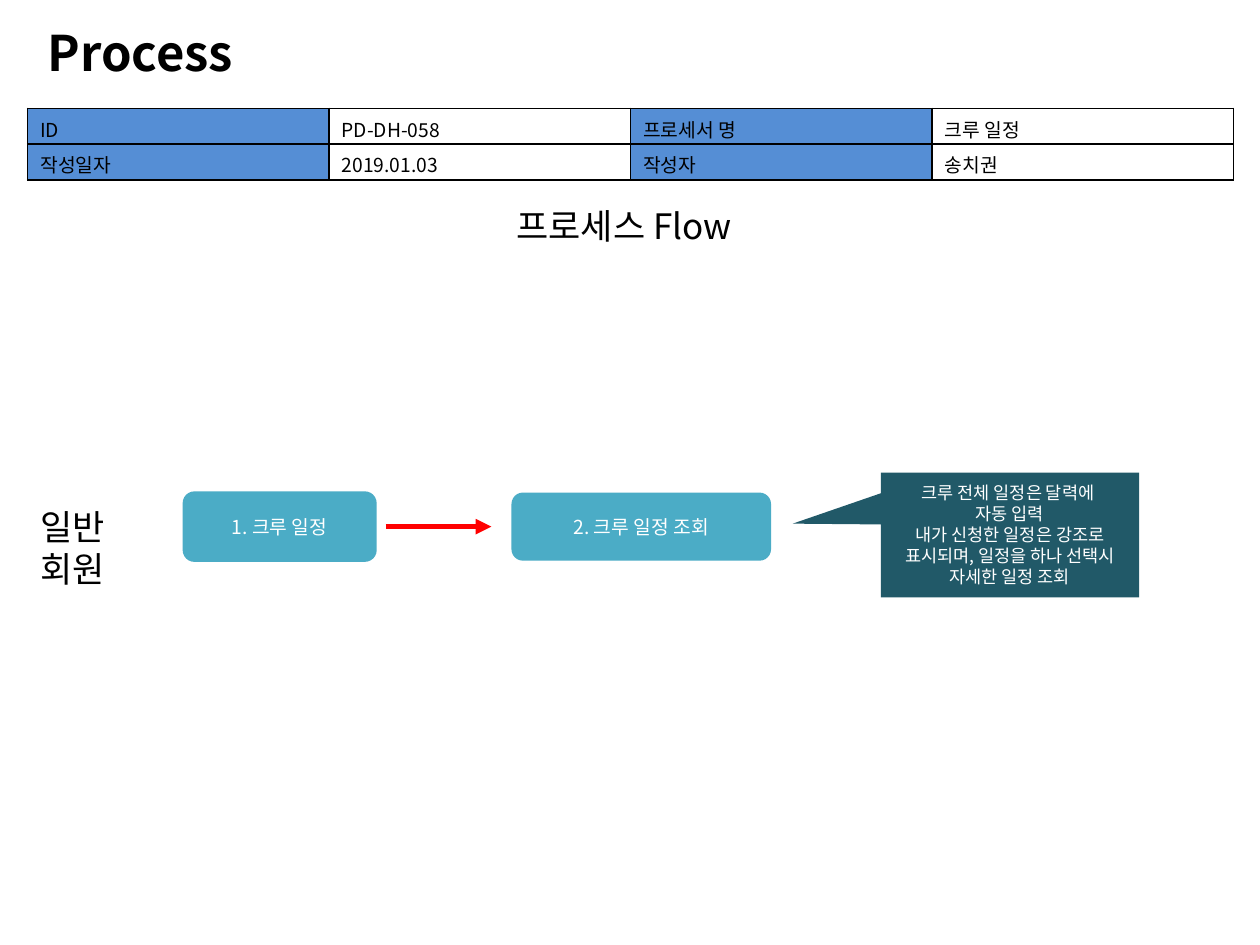
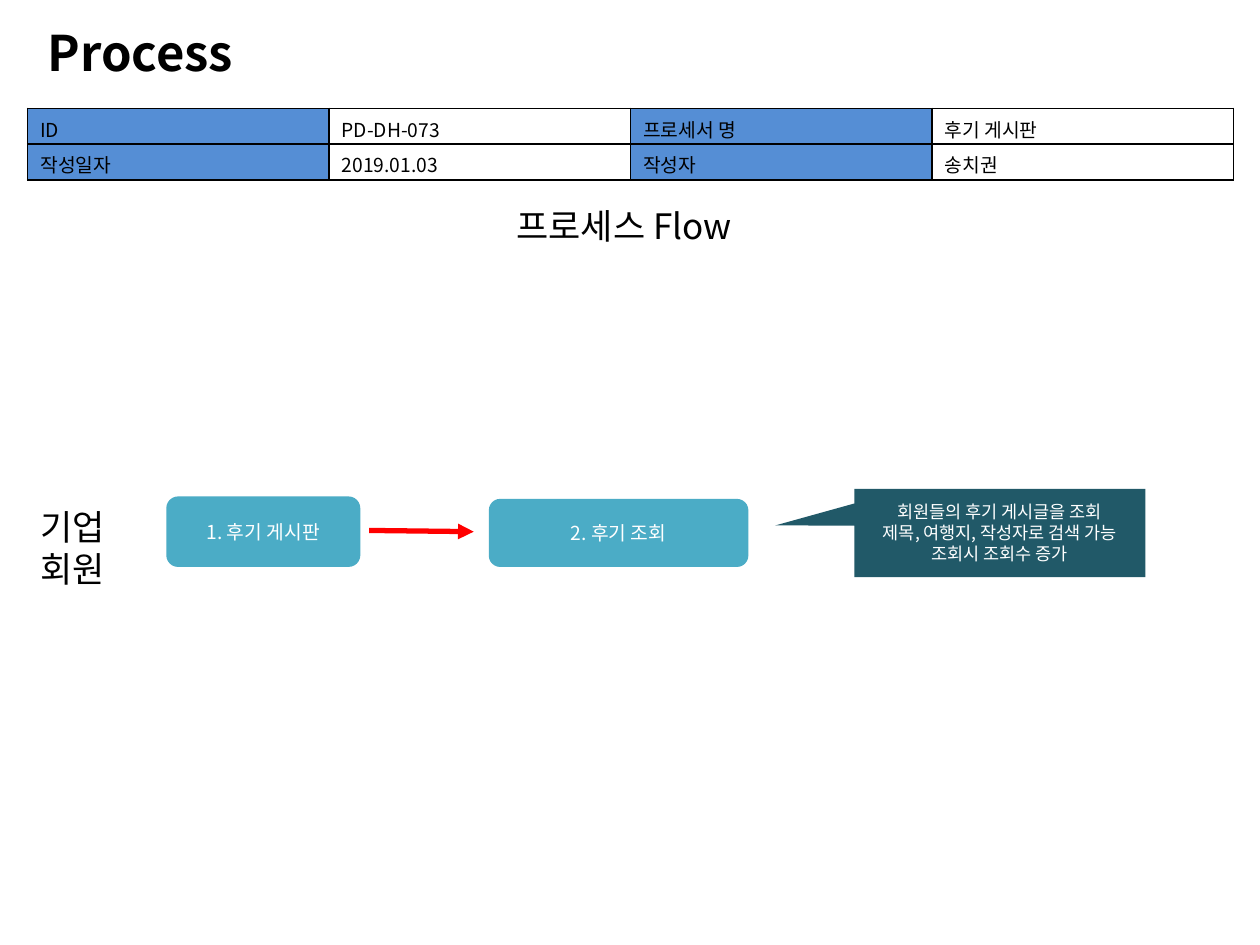
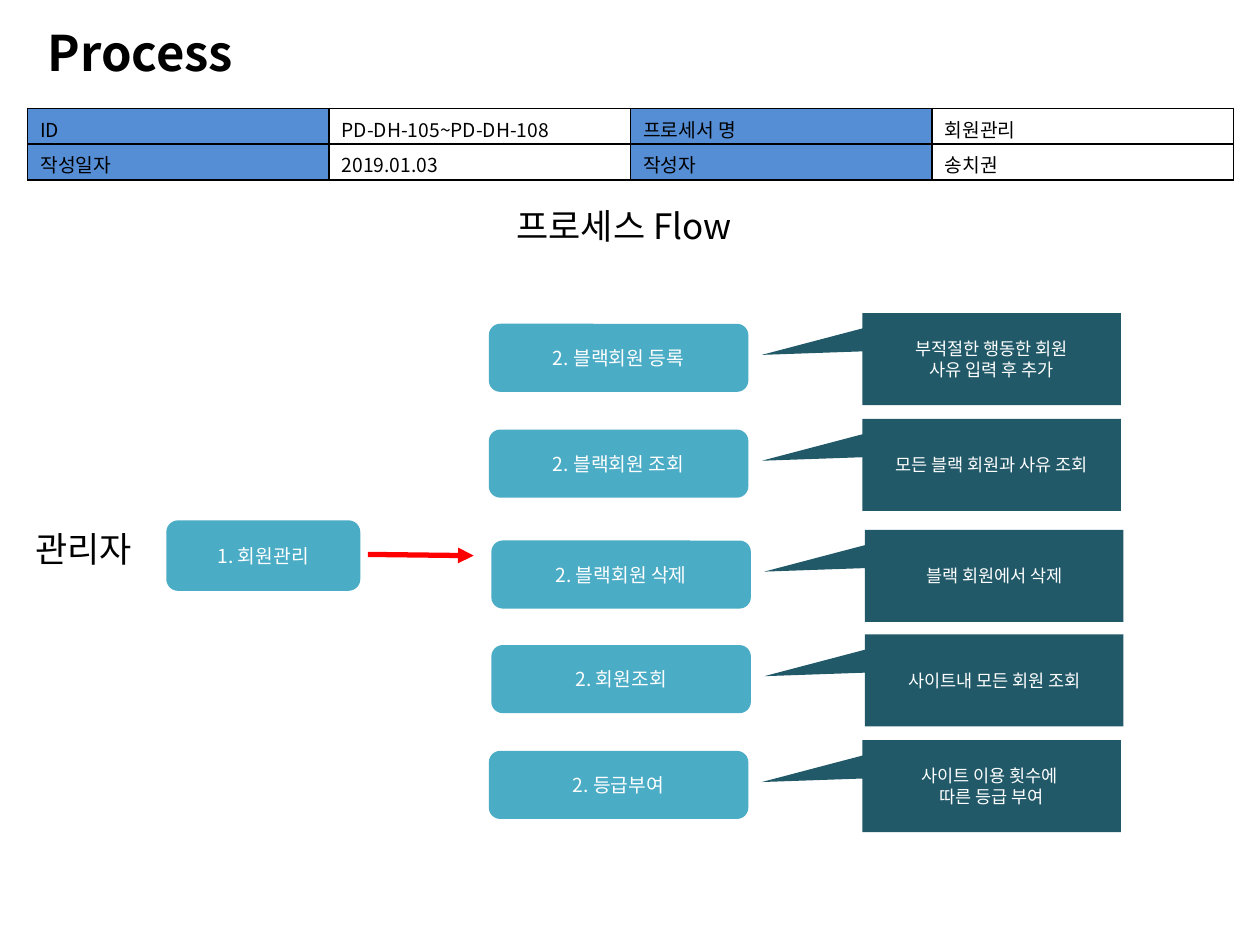
from dataclasses import dataclass, field
from typing import Any, NamedTuple

from lxml.etree import SubElement as Sub
from pptx import Presentation
from pptx.dml.color import RGBColor as Rgb
from pptx.enum.shapes import MSO_CONNECTOR as Link, MSO_SHAPE as Kind
from pptx.enum.text import (MSO_ANCHOR as Anchor, MSO_AUTO_SIZE as Fit,
                            PP_ALIGN as Align)
from pptx.oxml.ns import qn
from pptx.util import Inches, Pt

COLS, ROWS = 100, 75  # grid that covers the slide
WIDE, TALL = Inches(10), Inches(7.5)


@dataclass(frozen=True)
class Theme:
    """Colours, font and type sizes of the deck."""
    font: str = "Noto Sans CJK KR"
    ink: str = "000000"
    pale: str = "FFFFFF"
    head: str = "558ED5"
    step: str = "4BACC6"
    note: str = "215968"
    arrow: str = "FF0000"
    title: int = 28
    label: int = 20
    body: int = 11
    small: int = 10


LOOK = Theme()


class Box(NamedTuple):
    """A place on the grid, in columns and rows."""
    col: float
    row: float
    wide: float
    tall: float


class Spot(NamedTuple):
    """A point on the grid."""
    col: float
    row: float


class Step(NamedTuple):
    """A rounded process box."""
    box: Box
    text: str


class Note(NamedTuple):
    """A callout; tip is its pointer as shares of its size."""
    box: Box
    tip: tuple[float, float]
    text: str


@dataclass
class Page:
    """All that differs from one slide to the next."""
    code: str
    name: str
    role: str
    seat: Box
    start: Spot
    end: Spot
    steps: list[Step] = field(default_factory=list)
    notes: list[Note] = field(default_factory=list)


def across(col: float) -> int:
    """Turn columns into a length."""
    return round(WIDE * col / COLS)


def down(row: float) -> int:
    """Turn rows into a length."""
    return round(TALL * row / ROWS)


def area(box: Box) -> tuple[int, int, int, int]:
    """Turn a grid box into left, top, width and height."""
    return across(box.col), down(box.row), across(box.wide), down(box.tall)


def put(item: Any, form: dict[str, Any]) -> None:
    """Set each format value on an item."""
    for key, value in form.items():
        setattr(item, key, value)


def write(frame: Any, text: str, size: int, ink: str = LOOK.ink,
          align: Align = Align.LEFT, bold: bool = False) -> None:
    """Write one paragraph for each line of text."""
    frame.text = text
    form = {"size": Pt(size), "bold": bold, "name": LOOK.font}
    for para in frame.paragraphs:
        para.alignment = align
        for run in para.runs:
            run.font.color.rgb = Rgb.from_string(ink)
            put(run.font, form)
            Sub(run.font._element, qn("a:ea"), typeface=LOOK.font)


def draw_title(slide: Any) -> None:
    """Move and format the title placeholder."""
    title = slide.shapes.title
    spot = area(Box(2.8, 1.3, 89.8, 5.7))
    put(title, dict(zip(("left", "top", "width", "height"), spot)))
    frame = title.text_frame
    write(frame, "Process", LOOK.title, bold=True)
    put(frame, {"vertical_anchor": Anchor.TOP, "word_wrap": True,
                "auto_size": Fit.SHAPE_TO_FIT_TEXT})


def draw_label(slide: Any, box: Box, text: str) -> None:
    """Draw a large plain label."""
    frame = slide.shapes.add_textbox(*area(box)).text_frame
    put(frame, {"word_wrap": True, "auto_size": Fit.SHAPE_TO_FIT_TEXT})
    write(frame, text, LOOK.label)


def edge(cell: Any) -> None:
    """Give a cell thin dark borders, placed before its fill."""
    props = cell._tc.get_or_add_tcPr()
    for spot, side in enumerate(("lnL", "lnR", "lnT", "lnB")):
        line = Sub(props, qn(f"a:{side}"), w=str(Pt(1)))
        Sub(Sub(line, qn("a:solidFill")), qn("a:srgbClr"), val=LOOK.ink)
        props.insert(spot, line)


def draw_table(slide: Any, page: Page) -> None:
    """Draw the table that names the process."""
    data = (("ID", page.code, "프로세서 명", page.name),
            ("작성일자", "2019.01.03", "작성자", "송치권"))
    box = area(Box(2.2, 8.6, 95.7, 5.7))
    table = slide.shapes.add_table(len(data), len(data[0]), *box).table
    put(table, {"first_row": False, "horz_banding": False})
    for row, texts in enumerate(data):
        for col, text in enumerate(texts):
            cell = table.cell(row, col)
            cell.fill.solid()
            tint = LOOK.pale if col % 2 else LOOK.head
            cell.fill.fore_color.rgb = Rgb.from_string(tint)
            write(cell.text_frame, text, LOOK.body)
            edge(cell)


def draw_shape(slide: Any, kind: Kind, box: Box, tint: str, text: str,
               size: int) -> Any:
    """Draw a flat filled shape with centred pale text."""
    shape = slide.shapes.add_shape(kind, *area(box))
    shape.shadow.inherit = False
    shape.fill.solid()
    shape.fill.fore_color.rgb = Rgb.from_string(tint)
    shape.line.fill.background()
    put(shape.text_frame, {"word_wrap": True,
                           "vertical_anchor": Anchor.MIDDLE})
    write(shape.text_frame, text, size, LOOK.pale, Align.CENTER)
    return shape


def draw_note(slide: Any, note: Note) -> None:
    """Draw a callout and aim its pointer."""
    shape = draw_shape(slide, Kind.RECTANGULAR_CALLOUT, note.box, LOOK.note,
                       note.text, LOOK.small)
    for spot, share in enumerate(note.tip):
        shape.adjustments[spot] = share


def draw_arrow(slide: Any, start: Spot, end: Spot) -> None:
    """Draw a flat arrow between two points."""
    arrow = slide.shapes.add_connector(
        Link.STRAIGHT, across(start.col), down(start.row),
        across(end.col), down(end.row))
    arrow.line.color.rgb = Rgb.from_string(LOOK.arrow)
    arrow.line.width = Pt(3)
    props = arrow._element.spPr
    Sub(props.find(qn("a:ln")), qn("a:tailEnd"), type="triangle")
    Sub(props, qn("a:effectLst"))


def draw_page(deck: Any, page: Page) -> None:
    """Build one slide."""
    slide = deck.slides.add_slide(deck.slide_layouts[5])
    draw_title(slide)
    draw_table(slide, page)
    draw_label(slide, Box(40, 15.7, 20.1, 4.4), "프로세스 Flow")
    draw_label(slide, page.seat, page.role)
    draw_arrow(slide, page.start, page.end)
    for step in page.steps:
        draw_shape(slide, Kind.ROUNDED_RECTANGLE, step.box, LOOK.step,
                   step.text, LOOK.body)
    for note in page.notes:
        draw_note(slide, note)


def first(col: float, row: float, text: str) -> Step:
    """Make the short box that opens a flow."""
    return Step(Box(col, row, 15.4, 5.6), f"1. {text}")


def second(col: float, row: float, text: str) -> Step:
    """Make the wide box that follows."""
    return Step(Box(col, row, 20.6, 5.4), f"2. {text}")


def aside(step: Step, text: str) -> Note:
    """Make the callout that stands beside a step."""
    box = Box(step.box.col + 29.65, step.box.row - 0.85, 20.5, 7.3)
    return Note(box, (-0.89, -0.045), text)


SEAT = Box(2.2, 39.6, 7.6, 7.7)
TASKS = (
    (second(38.8, 25.7, "블랙회원 등록"),
     "부적절한 행동한 회원\n사유 입력 후 추가"),
    (second(38.8, 34.1, "블랙회원 조회"), "모든 블랙 회원과 사유 조회"),
    (second(39, 42.9, "블랙회원 삭제"), "블랙 회원에서 삭제"),
    (second(39, 51.2, "회원조회"), "사이트내 모든 회원 조회"),
    (second(38.8, 59.6, "등급부여"), "사이트 이용 횟수에 \n따른 등급 부여"),
)
PAGES = (
    Page("PD-DH-058", "크루 일정", "일반\n회원", SEAT,
         Spot(30.6, 41.8), Spot(39, 41.8),
         [first(14.5, 39, "크루 일정"), second(40.6, 39.1, "크루 일정 조회")],
         [Note(Box(69.9, 37.5, 20.5, 9.9), (-0.841, -0.09),
               "크루 전체 일정은 달력에 \n자동 입력\n"
               "내가 신청한 일정은 강조로 표시되며, 일정을 하나 선택시\n"
               "자세한 일정 조회")]),
    Page("PD-DH-073", "후기 게시판", "기업\n회원", SEAT,
         Spot(29.3, 42.1), Spot(37.6, 42.2),
         [first(13.2, 39.4, "후기 게시판"), second(38.8, 39.6, "후기 조회")],
         [Note(Box(67.8, 38.8, 23.1, 7), (-0.772, -0.084),
               "회원들의 후기 게시글을 조회\n"
               "제목, 여행지, 작성자로 검색 가능\n조회시 조회수 증가")]),
    Page("PD-DH-105~PD-DH-108", "회원관리", "관리자",
         Box(1.8, 41.4, 10.6, 4.4), Spot(29.2, 44), Spot(37.6, 44.1),
         [first(13.2, 41.3, "회원관리"), *(step for step, _ in TASKS)],
         [aside(step, text) for step, text in TASKS]),
)


def main() -> None:
    """Build and save the deck."""
    deck = Presentation()
    put(deck, {"slide_width": WIDE, "slide_height": TALL})
    for page in PAGES:
        draw_page(deck, page)
    deck.save("out.pptx")


main()
